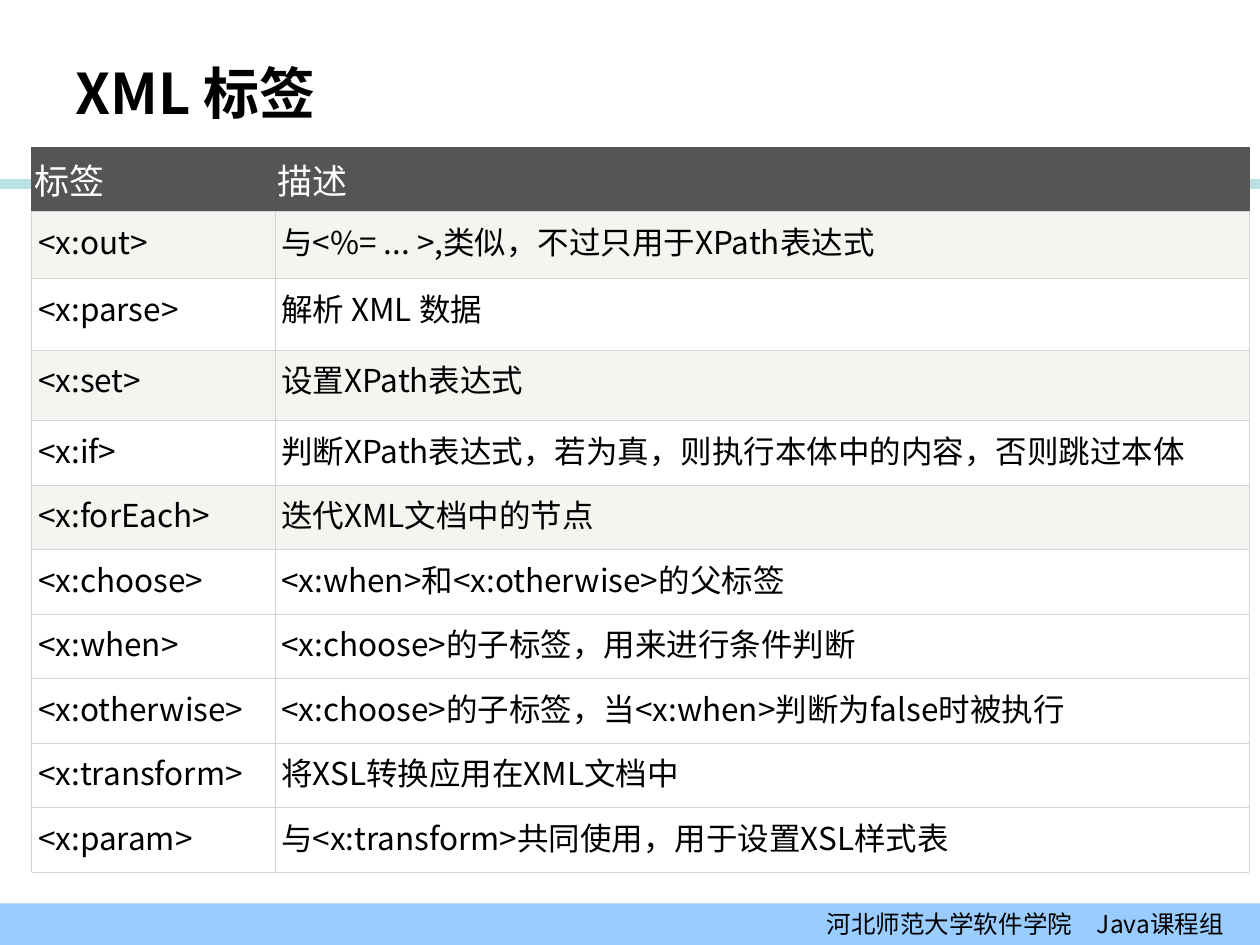
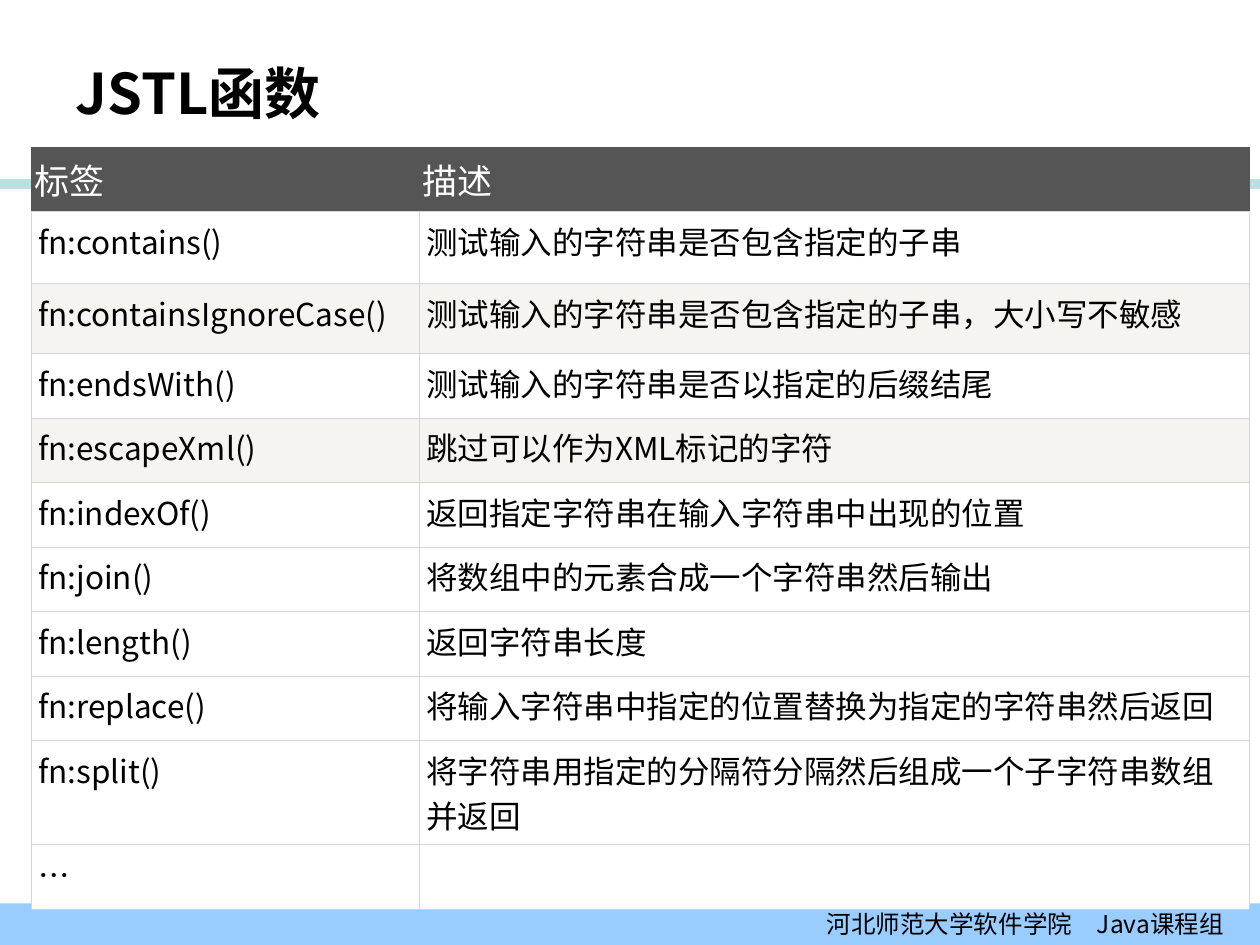
import pptx
import pptx.dml.color
import pptx.enum.shapes
import pptx.enum.text
import pptx.oxml
import pptx.oxml.ns
import pptx.util

Cm = pptx.util.Cm
FONT = "Noto Sans CJK SC"
BLACK, WHITE = "000000", "FFFFFF"
TEAL, BLUE = "BBE0E3", "99CCFF"
DARK, SHADE, GRID = "555555", "F6F4F0", "D4D4D4"
ALIGN = pptx.enum.text.PP_ALIGN
MIDDLE = pptx.enum.text.MSO_ANCHOR.MIDDLE
WIDE, HIGH = 25.4, 19.05
TITLE_BOX = (1.27, 0.76, 20.32, 2.21)
TABLE_BOX = (0.64, 2.97, 24.54)
HEADS = ("标签", "描述")

XML_TAGS = [
    ("<x:out>", "与<%= ... >,类似，不过只用于XPath表达式"),
    ("<x:parse>", "解析 XML 数据"),
    ("<x:set>", "设置XPath表达式"),
    ("<x:if>", "判断XPath表达式，若为真，则执行本体中的内容，否则跳过本体"),
    ("<x:forEach>", "迭代XML文档中的节点"),
    ("<x:choose>", "<x:when>和<x:otherwise>的父标签"),
    ("<x:when>", "<x:choose>的子标签，用来进行条件判断"),
    ("<x:otherwise>", "<x:choose>的子标签，当<x:when>判断为false时被执行"),
    ("<x:transform>", "将XSL转换应用在XML文档中"),
    ("<x:param>", "与<x:transform>共同使用，用于设置XSL样式表"),
]
JSTL_CALLS = [
    ("fn:contains()", "测试输入的字符串是否包含指定的子串"),
    ("fn:containsIgnoreCase()", "测试输入的字符串是否包含指定的子串，大小写不敏感"),
    ("fn:endsWith()", "测试输入的字符串是否以指定的后缀结尾"),
    ("fn:escapeXml()", "跳过可以作为XML标记的字符"),
    ("fn:indexOf()", "返回指定字符串在输入字符串中出现的位置"),
    ("fn:join()", "将数组中的元素合成一个字符串然后输出"),
    ("fn:length()", "返回字符串长度"),
    ("fn:replace()", "将输入字符串中指定的位置替换为指定的字符串然后返回"),
    ("fn:split()", "将字符串用指定的分隔符分隔然后组成一个子字符串数组并返回"),
    ("…", ""),
]


def rgb(code):
    """Turn a hex string into a colour."""
    return pptx.dml.color.RGBColor.from_string(code)


def paint(thing, code):
    """Fill a shape or a cell with one colour."""
    thing.fill.solid()
    thing.fill.fore_color.rgb = rgb(code)


def write(frame, text, size, code=BLACK, bold=False, align=ALIGN.LEFT):
    """Add one run of text to the first paragraph of a frame."""
    para = frame.paragraphs[0]
    para.alignment = align
    run = para.add_run()
    run.text = text
    run.font.size = pptx.util.Pt(size)
    run.font.bold = bold
    run.font.color.rgb = rgb(code)
    run.font.name = FONT
    east = pptx.oxml.parse_xml(f'<a:ea {pptx.oxml.ns.nsdecls("a")} typeface="{FONT}"/>')
    run.font.latin = None
    run._r.get_or_add_rPr().append(east)


def pad(frame, side, edge=0.13):
    """Set the side and the top and bottom margins of a cell or frame."""
    frame.margin_left = frame.margin_right = Cm(side)
    frame.margin_top = frame.margin_bottom = Cm(edge)


def band(deck, slide, box, code, number):
    """Draw a plain band and move it to the master, behind all else."""
    kind = pptx.enum.shapes.MSO_SHAPE.RECTANGLE
    shape = slide.shapes.add_shape(kind, *map(Cm, box))
    shape.shadow.inherit = False
    shape.line.fill.background()
    paint(shape, code)
    shape.element.nvSpPr.cNvPr.id = 20 + number
    deck.slide_master.shapes.element.insert(2 + number, shape.element)
    return shape


def master(deck, slide):
    """Place the rule and the footer that all slides share."""
    band(deck, slide, (0, 3.61, WIDE, 0.2), TEAL, 0)
    foot = band(deck, slide, (0, 18.21, WIDE, 0.84), BLUE, 1)
    frame = foot.text_frame
    frame.word_wrap = True
    frame.vertical_anchor = MIDDLE
    pad(frame, 0.25)
    frame.margin_right = Cm(0.73)
    write(frame, "河北师范大学软件学院　Java课程组", 14, align=ALIGN.RIGHT)


def title(slide, box, text):
    """Place and write the title of a slide."""
    shape = slide.shapes.title
    shape.left, shape.top, shape.width, shape.height = map(Cm, box)
    shape.text_frame.vertical_anchor = MIDDLE
    write(shape.text_frame, text, 32, bold=True)


def border(cell, edges):
    """Draw the left, right, top and bottom lines of a cell."""
    for place, (side, code) in enumerate(zip("LRTB", edges)):
        line = pptx.oxml.parse_xml(
            f'<a:ln{side} {pptx.oxml.ns.nsdecls("a")} w="4318"><a:solidFill>'
            f'<a:srgbClr val="{code}"/></a:solidFill></a:ln{side}>')
        cell._tc.get_or_add_tcPr().insert(place, line)


def grid(slide, box, first, heights, rows, shaded):
    """Build a two-column table with a dark head and some shaded rows."""
    left, top, width = box
    frame = slide.shapes.add_table(
        len(rows) + 1, 2, Cm(left), Cm(top), Cm(width), Cm(sum(heights)))
    table = frame.table
    table.horz_banding = False
    for column, size in zip(table.columns, (first, width - first)):
        column.width = Cm(size)
    for index, (height, row) in enumerate(zip(heights, [HEADS, *rows])):
        table.rows[index].height = Cm(height)
        head = index == 0
        fill = DARK if head else SHADE if index in shaded else WHITE
        edges = (DARK, DARK, DARK, GRID) if head else (GRID,) * 4
        for cell, text in zip(table.rows[index].cells, row):
            pad(cell, 0.06 if head else 0.13)
            paint(cell, fill)
            border(cell, edges)
            if text:
                write(cell.text_frame, text, 20 if head else 18, WHITE if head else BLACK)


def page(deck, name, *parts):
    """Add a slide with a title and a table."""
    slide = deck.slides.add_slide(deck.slide_layouts.get_by_name("Title Only"))
    title(slide, TITLE_BOX, name)
    grid(slide, TABLE_BOX, *parts)
    return slide


def main():
    """Build and save the deck."""
    deck = pptx.Presentation()
    deck.slide_width, deck.slide_height = Cm(WIDE), Cm(HIGH)
    start = page(deck, "XML 标签", 4.9,
                 [1.12, 1.35, 1.45, 1.42] + [1.3] * 7, XML_TAGS, {1, 3, 5})
    master(deck, start)
    page(deck, "JSTL函数", 7.82,
         [1.12, 1.45, 1.42] + [1.3] * 6 + [1.9, 1.3], JSTL_CALLS, {2, 4})
    deck.save("out.pptx")


main()
